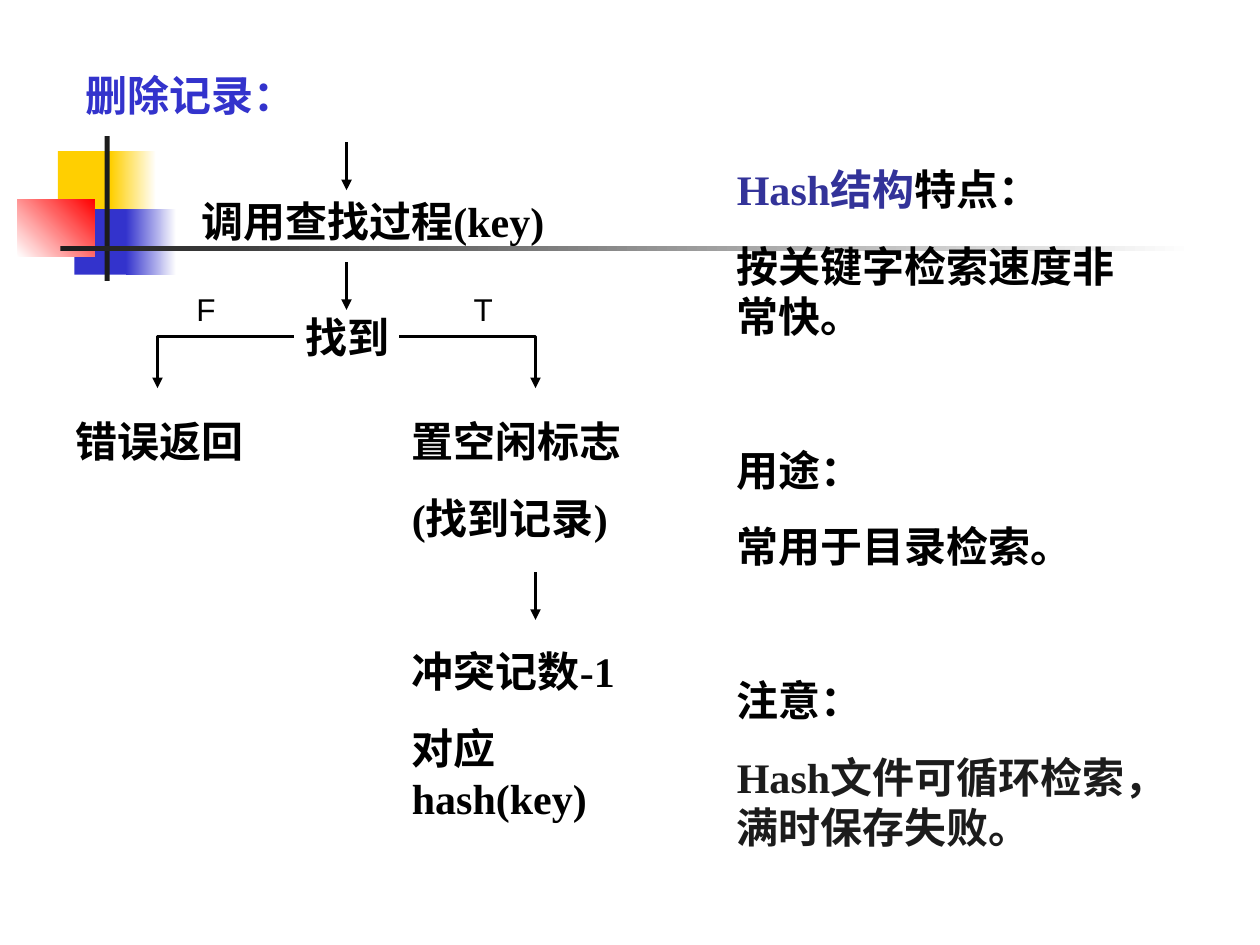
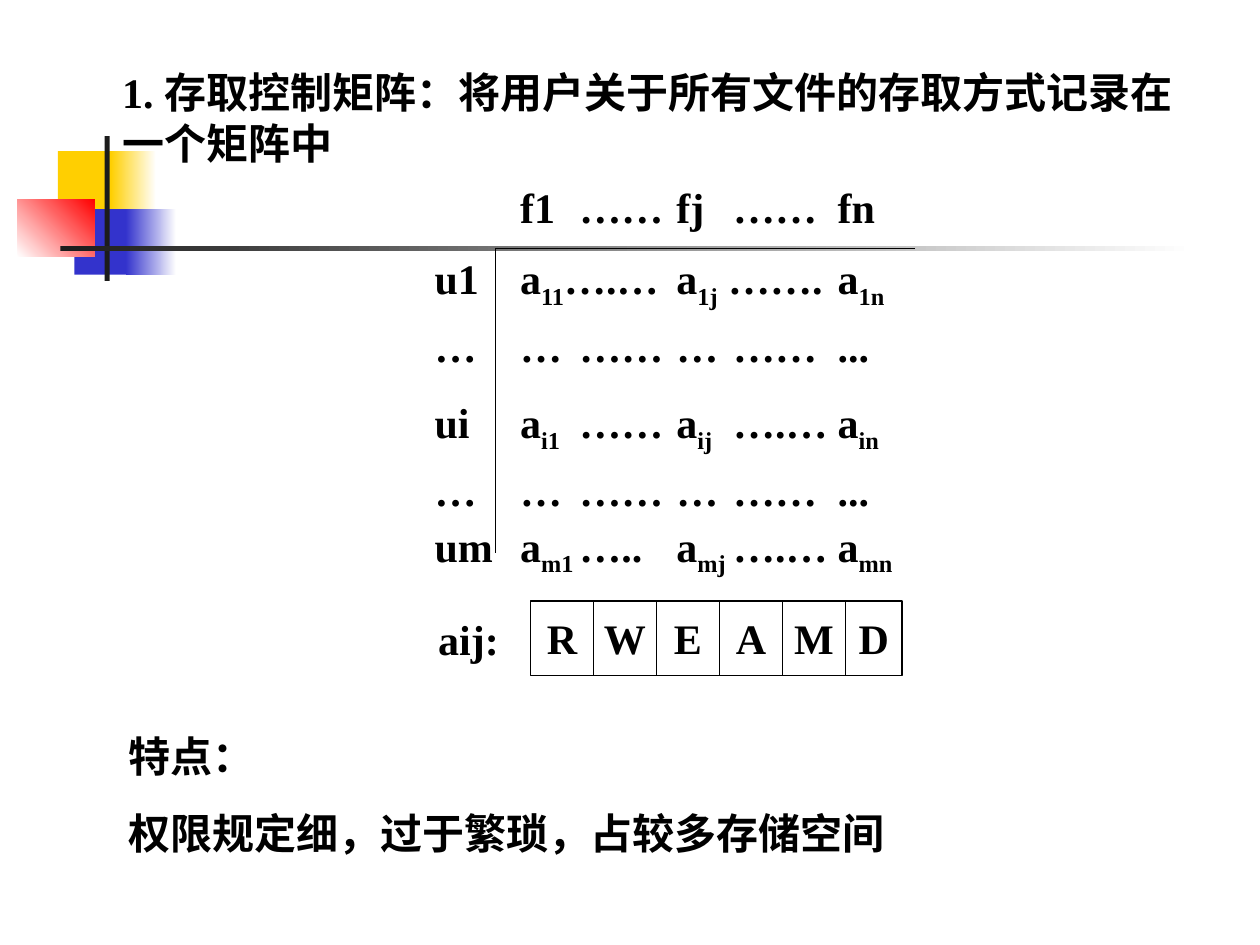
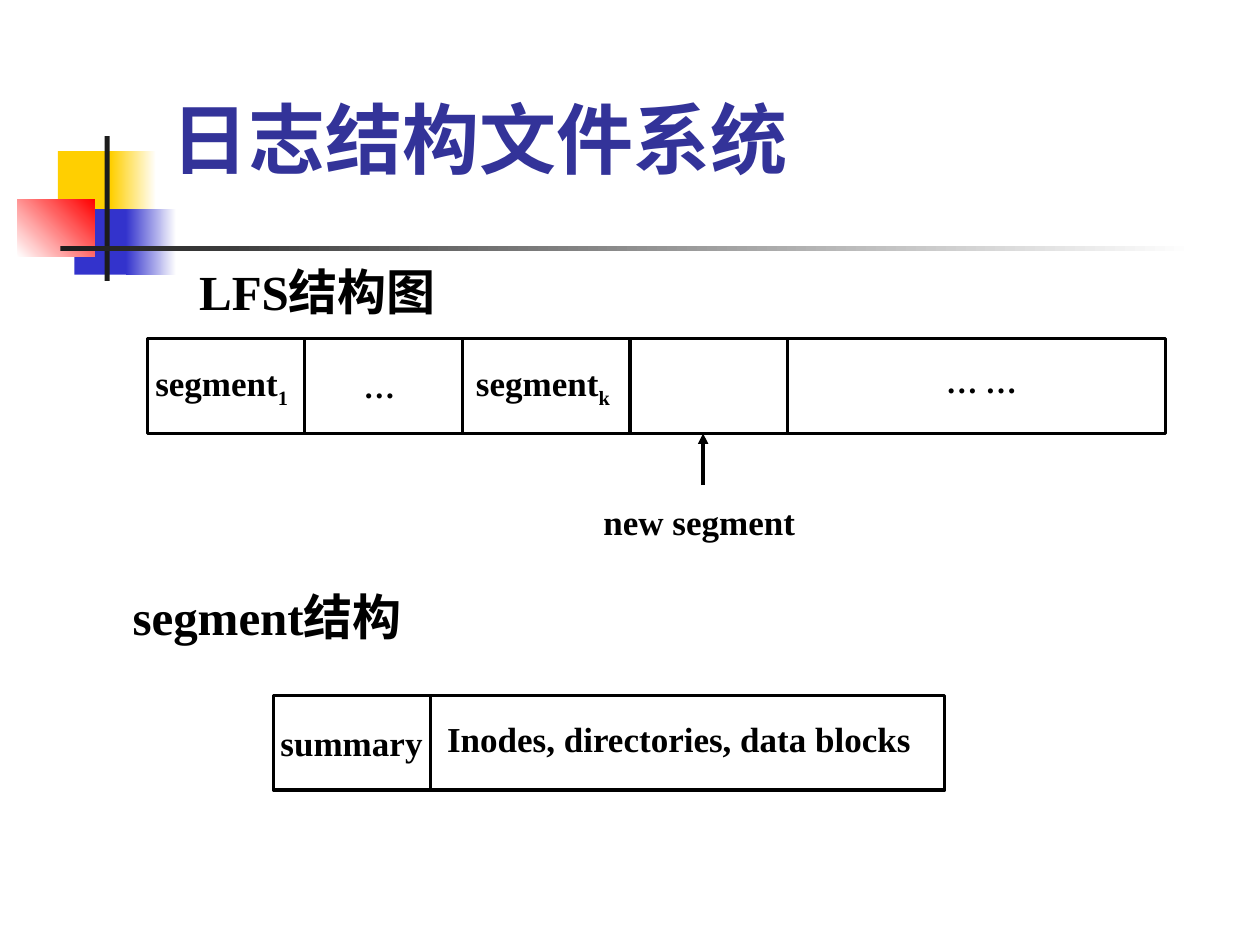
from dataclasses import dataclass
from itertools import accumulate

from lxml.etree import SubElement
from pptx import Presentation
from pptx.dml.color import RGBColor
from pptx.enum.shapes import MSO_CONNECTOR, MSO_SHAPE
from pptx.enum.text import MSO_ANCHOR, PP_ALIGN
from pptx.oxml.ns import qn
from pptx.util import Inches, Pt


@dataclass(frozen=True)
class Theme:
    ink: str = "000000"
    soft_ink: str = "1C1C1C"
    heading: str = "333399"
    blue: str = "3333CC"
    yellow: str = "FFCF01"
    red: str = "FF0000"
    paper: str = "FFFFFF"
    serif: str = "Times New Roman"
    sans: str = "Arial"
    title: int = 44
    subtitle: int = 28
    body: int = 24
    label: int = 20
    small: int = 18
    hairline: float = 0.75
    frame: float = 1.75
    arrow: float = 2
    gap: int = 15
    wide_gap: int = 59


THEME = Theme()


@dataclass
class Line:
    text: str
    color: str = THEME.ink
    lead: str = ""
    before: float = THEME.gap
    spacing: float = 1


WIDTH, HEIGHT = 10, 7.5

ORNAMENTS = [
    ((0.46, 1.2, 0.48, 0.52), [THEME.yellow], 0),
    ((0.88, 1.2, 0.36, 0.52), [THEME.yellow, THEME.paper], 0),
    ((0.59, 1.66, 0.46, 0.52), [THEME.blue], 0),
    ((1, 1.66, 0.4, 0.52), [THEME.blue, THEME.paper], 0),
    ((0.14, 1.58, 0.61, 0.46), [THEME.paper, THEME.red], 45),
    ((0.83, 1.08, 0.04, 1.15), [THEME.soft_ink], 0),
    ((0.48, 1.95, 9, 0.04), [THEME.soft_ink, THEME.paper], 0),
]

DELETE_STEPS = [
    ((0.58, 0.5, 1.92, 0.5), [Line("删除记录：", THEME.blue)]),
    ((1.5, 1.5, 2.92, 0.9), [Line("调用查找过程(key)")]),
    ((2.33, 2.42, 1, 0.5), [Line("找到")]),
    ((0.5, 3.25, 1.75, 0.5), [Line("错误返回")]),
    ((3.17, 3.25, 2.25, 3.34), [
        Line("置空闲标志"),
        Line("(找到记录)"),
        Line("冲突记数-1", before=THEME.wide_gap),
        Line("对应hash(key)"),
    ]),
    ((5.75, 1.25, 3.3, 5.56), [
        Line("特点：", lead="Hash结构"),
        Line("按关键字检索速度非常快。"),
        Line("用途：", before=THEME.wide_gap),
        Line("常用于目录检索。"),
        Line("注意：", before=THEME.wide_gap),
        Line("Hash文件可循环检索，满时保存失败。", THEME.soft_ink),
    ]),
]
STEP_ARROWS = [(2.75, 1.13), (2.75, 2.08), (4.25, 4.54)]
STEP_ARROW_LENGTH = 0.38
BRANCHES = [("F", 1.46, 2.33, 1.25), ("T", 3.66, 3.17, 4.25)]
BRANCH_TOP, BRANCH_BOTTOM = 2.67, 3.08

MATRIX_INTRO = "1. 存取控制矩阵：将用户关于所有文件的存取方式记录在一个矩阵中"
MATRIX_ROWS = [
    Line("\tf1\t……\tfj\t……\tfn"),
    Line("u1\ta~11~….…\ta~1j~ …….\ta~1n~", spacing=0.8),
    Line("…\t…\t……\t…\t……\t...", spacing=0.8),
    Line("ui\ta~i1~\t……\ta~ij~\t….…\ta~in~"),
    Line("…\t…\t……\t…\t……\t...", before=0, spacing=1.2),
    Line("um\ta~m1~\t…..\ta~mj~\t….…\ta~mn~", before=0, spacing=1.1),
]
MATRIX_TABS = [0.68, 1.15, 1.92, 2.37, 3.2]
RIGHTS = "RWEAMD"
RIGHTS_LEFT, RIGHTS_TOP, RIGHTS_HEIGHT = 4.21, 4.77, 0.59
RIGHT_WIDTHS = [0.5] * 5 + [0.45]
MATRIX_NOTES = [Line("特点："), Line("权限规定细，过于繁琐，占较多存储空间")]

LFS_TITLE = "日志结构文件系统"
LFS_BARS = [
    (1.17, 2.69, [1.25, 1.25, 1.33, 1.25, 3]),
    (2.17, 5.52, [1.25, 4.08]),
]
BAR_HEIGHT = 0.75
LFS_LABELS = [
    ("LFS结构图", 2.52, 2.31, 2.6, THEME.subtitle),
    ("segment~1~", 1.76, 3.06, 1.4, THEME.label),
    ("…", 3.01, 3.06, 1.25, THEME.small),
    ("segment~k~", 4.31, 3.06, 1.4, THEME.label),
    ("… …", 7.79, 3.02, 1.25, THEME.small),
    ("new segment", 5.55, 4.14, 2, THEME.label),
    ("segment结构", 2.12, 4.89, 3, THEME.subtitle),
    ("summary", 2.79, 5.89, 1.4, THEME.label),
    ("Inodes, directories, data blocks", 5.39, 5.86, 4.2, THEME.label),
]
LABEL_HEIGHT = 0.5


def rgb(color):
    return RGBColor.from_string(color)


def place(box):
    return [Inches(length) for length in box]


def write(frame, lines, size=THEME.body, font=THEME.serif, bold=True,
          align=PP_ALIGN.LEFT, tabs=()):
    for index, line in enumerate(lines):
        paragraph = frame.add_paragraph() if index else frame.paragraphs[0]
        paragraph.alignment = align
        paragraph.space_before = Pt(line.before if index else 0)
        paragraph.line_spacing = line.spacing
        if tabs:
            tab_list = SubElement(paragraph._p.get_or_add_pPr(), qn("a:tabLst"))
            for stop in tabs:
                SubElement(tab_list, qn("a:tab"), pos=str(Inches(stop)), algn="l")
        paragraph.font.size = Pt(size)
        paragraph.font.name = font
        paragraph.font.bold = bold
        paragraph.font.color.rgb = rgb(line.color)
        if line.lead:
            lead = paragraph.add_run()
            lead.text = line.lead
            lead.font.color.rgb = rgb(THEME.heading)
        for position, piece in enumerate(line.text.split("~")):
            if piece:
                run = paragraph.add_run()
                run.text = piece
                if position % 2:
                    run._r.get_or_add_rPr().set("baseline", "-25000")


def add_text(slide, box, lines, **style):
    frame = slide.shapes.add_textbox(*place(box)).text_frame
    frame.word_wrap = True
    write(frame, lines, **style)


def add_label(slide, text, center_x, center_y, width, size):
    box = (center_x - width / 2, center_y - LABEL_HEIGHT / 2, width, LABEL_HEIGHT)
    frame = slide.shapes.add_textbox(*place(box)).text_frame
    frame.margin_left = frame.margin_right = 0
    frame.word_wrap = False
    frame.vertical_anchor = MSO_ANCHOR.MIDDLE
    write(frame, [Line(text)], size=size, align=PP_ALIGN.CENTER)


def style_line(shape, weight, arrow=False):
    shape.line.color.rgb = rgb(THEME.ink)
    shape.line.width = Pt(weight)
    if arrow:
        SubElement(shape.line._get_or_add_ln(), qn("a:tailEnd"), type="triangle")


def add_line(slide, start, end, weight, arrow=False):
    connector = slide.shapes.add_connector(MSO_CONNECTOR.STRAIGHT, *place(start + end))
    style_line(connector, weight, arrow)
    SubElement(connector._element.spPr, qn("a:effectLst"))


def add_bar(slide, left, top, widths, height, weight):
    box = (left, top, sum(widths), height)
    bar = slide.shapes.add_shape(MSO_SHAPE.RECTANGLE, *place(box))
    bar.shadow.inherit = False
    bar.fill.background()
    style_line(bar, weight)
    for offset in accumulate(widths[:-1]):
        add_line(slide, (left + offset, top), (left + offset, top + height), weight)
    return bar


def add_slide(presentation):
    slide = presentation.slides.add_slide(presentation.slide_layouts[6])
    for box, colors, angle in ORNAMENTS:
        shape = slide.shapes.add_shape(MSO_SHAPE.RECTANGLE, *place(box))
        shape.shadow.inherit = False
        shape.line.fill.background()
        if len(colors) == 1:
            shape.fill.solid()
            shape.fill.fore_color.rgb = rgb(colors[0])
        else:
            shape.fill.gradient()
            shape.fill.gradient_angle = angle
            for stop, color in zip(shape.fill.gradient_stops, colors):
                stop.color.rgb = rgb(color)
    return slide


def build_delete_slide(slide):
    for box, lines in DELETE_STEPS:
        add_text(slide, box, lines)
    for x, top in STEP_ARROWS:
        add_line(slide, (x, top), (x, top + STEP_ARROW_LENGTH), THEME.arrow, arrow=True)
    for name, label_left, start, end in BRANCHES:
        builder = slide.shapes.build_freeform(Inches(start), Inches(BRANCH_TOP))
        corners = [place((end, BRANCH_TOP)), place((end, BRANCH_BOTTOM))]
        branch = builder.add_line_segments(corners, close=False).convert_to_shape()
        branch.shadow.inherit = False
        branch.fill.background()
        style_line(branch, THEME.arrow, arrow=True)
        add_text(slide, (label_left, 2.25, 0.39, 0.4), [Line(name)],
                 size=THEME.small, font=THEME.sans, bold=False)


def build_matrix_slide(slide):
    add_text(slide, (0.87, 0.48, 8.78, 0.9), [Line(MATRIX_INTRO)])
    add_text(slide, (3.35, 1.39, 4.58, 3.25), MATRIX_ROWS, tabs=MATRIX_TABS)
    corner = (3.93, 1.97)
    for end in [(3.93, 4.39), (7.26, 1.97)]:
        add_line(slide, corner, end, THEME.hairline)
    bar = add_bar(slide, RIGHTS_LEFT, RIGHTS_TOP, RIGHT_WIDTHS, RIGHTS_HEIGHT, THEME.hairline)
    bar.fill.solid()
    bar.fill.fore_color.rgb = rgb(THEME.paper)
    for letter, width, end in zip(RIGHTS, RIGHT_WIDTHS, accumulate(RIGHT_WIDTHS)):
        add_label(slide, letter, RIGHTS_LEFT + end - width / 2,
                  RIGHTS_TOP + RIGHTS_HEIGHT / 2, width, THEME.body)
    add_text(slide, (3.38, 4.82, 0.76, 0.5), [Line("aij:")])
    add_text(slide, (0.92, 5.75, 6.42, 1.11), MATRIX_NOTES)


def build_lfs_slide(slide):
    for left, top, widths in LFS_BARS:
        add_bar(slide, left, top, widths, BAR_HEIGHT, THEME.frame)
    for label in LFS_LABELS:
        add_label(slide, *label)
    add_line(slide, (5.58, 3.85), (5.58, 3.44), THEME.arrow, arrow=True)
    add_text(slide, (1.26, 0.68, 8.52, 1.25), [Line(LFS_TITLE, THEME.heading)], size=THEME.title)


def main():
    presentation = Presentation()
    presentation.slide_width = Inches(WIDTH)
    presentation.slide_height = Inches(HEIGHT)
    for build in (build_delete_slide, build_matrix_slide, build_lfs_slide):
        build(add_slide(presentation))
    presentation.save("out.pptx")


if __name__ == "__main__":
    main()
